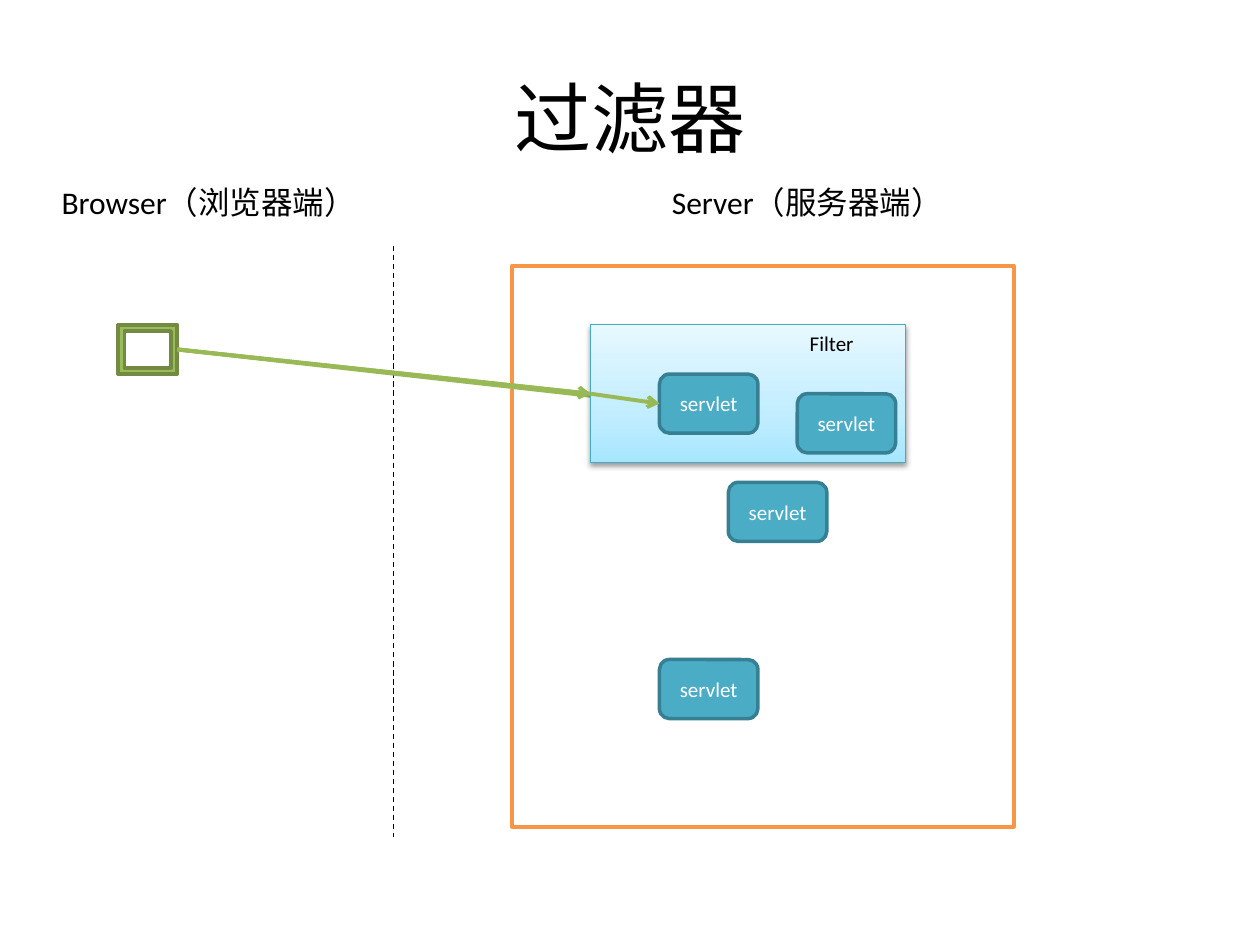
from lxml import etree
from pptx import Presentation, util as u
from pptx.dml.color import RGBColor
from pptx.enum import dml, shapes, text
from pptx.oxml import parse_xml
from pptx.oxml.ns import nsdecls, qn

BLACK = RGBColor(0x00, 0x00, 0x00)
WHITE = RGBColor(0xFF, 0xFF, 0xFF)
GREEN = RGBColor(0x9B, 0xBB, 0x59)
DARK_GREEN = RGBColor(0x73, 0x8A, 0x42)
ARROW_GREEN = RGBColor(0x98, 0xB9, 0x55)
ORANGE = RGBColor(0xF7, 0x96, 0x46)
TEAL = RGBColor(0x4B, 0xAC, 0xC6)
DARK_TEAL = RGBColor(0x37, 0x7F, 0x92)
FILTER_LINE = RGBColor(0x46, 0xAA, 0xC5)
SKY = RGBColor(0xA7, 0xE6, 0xFF)
PALE_SKY = RGBColor(0xC1, 0xED, 0xFF)
ICE = RGBColor(0xE7, 0xF8, 0xFF)

WIDTH, HEIGHT = u.Inches(10), u.Inches(7.5)
COLS = 128
TOP, LEFT, BOTTOM, RIGHT = range(4)
KIND = shapes.MSO_SHAPE


def grid(*cells):
    """Turn grid cells into lengths; columns and rows are equally large."""
    return [round(WIDTH * c / COLS) for c in cells]


def write(tf, words, size, color, align=text.PP_ALIGN.LEFT, anchor=text.MSO_ANCHOR.TOP):
    """Fill a text frame with one paragraph."""
    tf.word_wrap = True
    tf.vertical_anchor = anchor
    p = tf.paragraphs[0]
    p.text = words
    p.alignment = align
    p.font.name, p.font.size = "Calibri", u.Pt(size)
    p.font.color.rgb = color


def add_label(s, cells, words, size, **layout):
    """Add a black text box."""
    sp = s.shapes.add_textbox(*grid(*cells))
    write(sp.text_frame, words, size, BLACK, **layout)


def add_box(s, kind, cells, fill, line, width=2):
    """Add a filled and outlined preset shape."""
    sp = s.shapes.add_shape(kind, *grid(*cells))
    sp.shadow.inherit = False
    sp.fill.solid()
    sp.fill.fore_color.rgb = fill
    sp.line.color.rgb = line
    sp.line.width = u.Pt(width)
    return sp


def add_servlet(s, col, row):
    """Add a rounded servlet box at a grid cell."""
    sp = add_box(s, KIND.ROUNDED_RECTANGLE, (col, row, 10, 6), TEAL, DARK_TEAL)
    write(sp.text_frame, "servlet", 12, WHITE, text.PP_ALIGN.CENTER, text.MSO_ANCHOR.MIDDLE)
    return sp


def add_filter(s, cells):
    """Add the filter box with its gradient and soft shadow."""
    sp = add_box(s, KIND.RECTANGLE, cells, ICE, FILTER_LINE, 0.75)
    stops = "".join(
        f'<a:gs pos="{pos * 1000}"><a:srgbClr val="{color}"/></a:gs>'
        for pos, color in ((0, SKY), (35, PALE_SKY), (100, ICE)))
    pr = sp._element.spPr
    pr.replace(pr.find(qn("a:solidFill")), parse_xml(
        f'<a:gradFill {nsdecls("a")} rotWithShape="1"><a:gsLst>{stops}</a:gsLst>'
        '<a:lin ang="16200000" scaled="1"/></a:gradFill>'))
    pr.find(qn("a:effectLst")).append(parse_xml(
        f'<a:outerShdw {nsdecls("a")} blurRad="{u.Pt(3.1)}" dist="{u.Pt(1.6)}" '
        'dir="5400000" rotWithShape="0"><a:srgbClr val="000000">'
        '<a:alpha val="38000"/></a:srgbClr></a:outerShdw>'))
    return sp


def add_line(s, cells, color, width, arrow=False):
    """Add a straight connector between two grid points."""
    cx = s.shapes.add_connector(shapes.MSO_CONNECTOR.STRAIGHT, *grid(*cells))
    cx.line.color.rgb = color
    cx.line.width = u.Pt(width)
    if arrow:
        etree.SubElement(cx.line._get_or_add_ln(), qn("a:tailEnd"), type="arrow")
    etree.SubElement(cx._element.spPr, qn("a:effectLst"))
    return cx


def join(cx, start, end):
    """Join a connector from a right side to a left side."""
    cx.begin_connect(start, RIGHT)
    cx.end_connect(end, LEFT)


def main():
    """Build the filter slide."""
    prs = Presentation()
    prs.slide_width, prs.slide_height = WIDTH, HEIGHT
    s = prs.slides.add_slide(prs.slide_layouts[6])

    add_label(s, (6.4, 3.84, 115.2, 16), "过滤器", 44,
              align=text.PP_ALIGN.CENTER, anchor=text.MSO_ANCHOR.MIDDLE)
    divider = add_line(s, (40, 25, 40, 85), BLACK, 0.75)
    divider.line.dash_style = dml.MSO_LINE.DASH
    browser = add_box(s, KIND.FRAME, (12, 33, 6, 5), GREEN, DARK_GREEN)
    for col, words in ((5, "Browser（浏览器端）"), (67, "Server（服务器端）")):
        add_label(s, (col, 18, 33, 5), words, 18)

    add_box(s, KIND.RECTANGLE, (52, 27, 51, 57), WHITE, ORANGE)
    add_servlet(s, 74, 49)
    add_servlet(s, 67, 67)
    to_servlet = add_line(s, (18, 35.5, 67, 41), ARROW_GREEN, 2.25, arrow=True)
    to_filter = add_line(s, (18, 35.5, 60, 40), ARROW_GREEN, 2.25, arrow=True)

    gate = add_filter(s, (60, 33, 32, 14))
    add_label(s, (81, 33, 16, 4), "Filter", 12)
    target = add_servlet(s, 67, 38)
    inner = add_line(s, (60, 40, 67, 41), ARROW_GREEN, 2.25, arrow=True)
    outer = add_line(s, (18, 35.5, 60, 40), ARROW_GREEN, 2.25)
    add_servlet(s, 81, 40)

    join(to_servlet, browser, target)
    join(to_filter, browser, gate)
    join(outer, browser, gate)
    inner.begin_connect(gate, LEFT)
    inner.end_connect(target, LEFT)
    prs.save("out.pptx")


if __name__ == "__main__":
    main()
